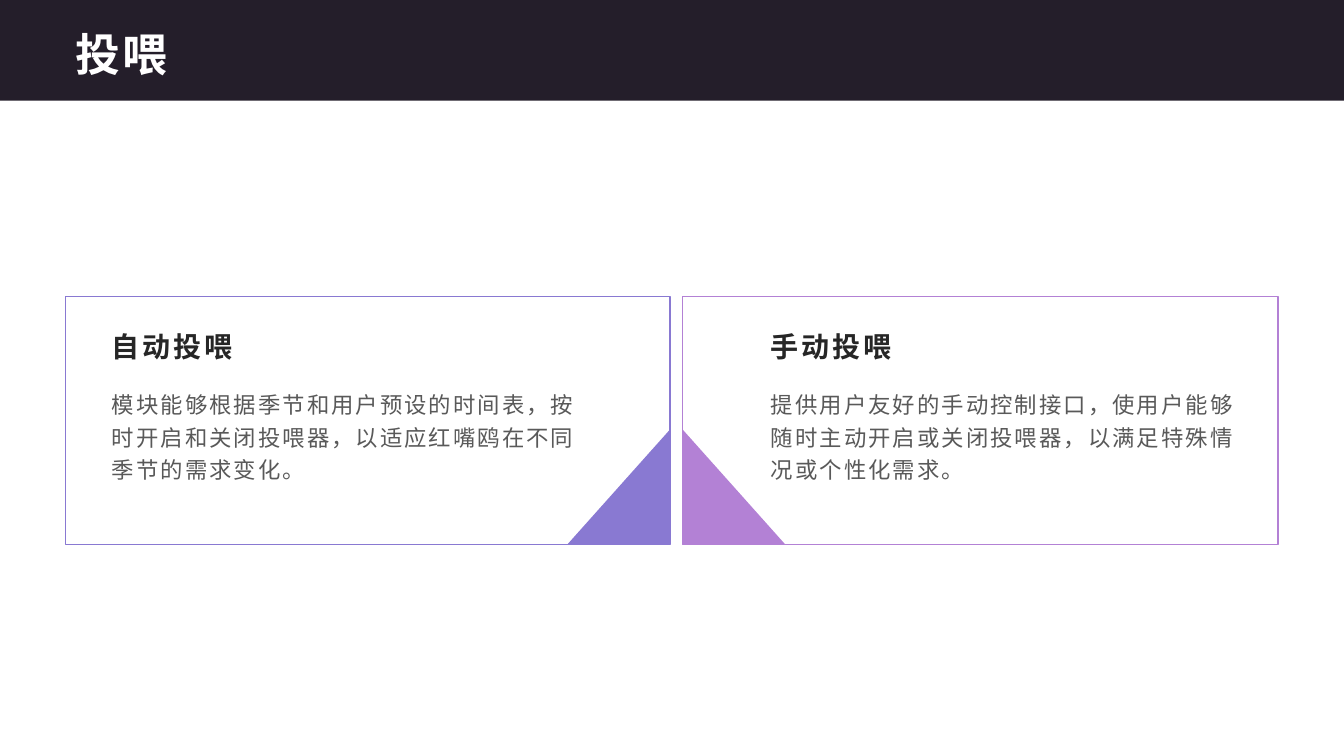
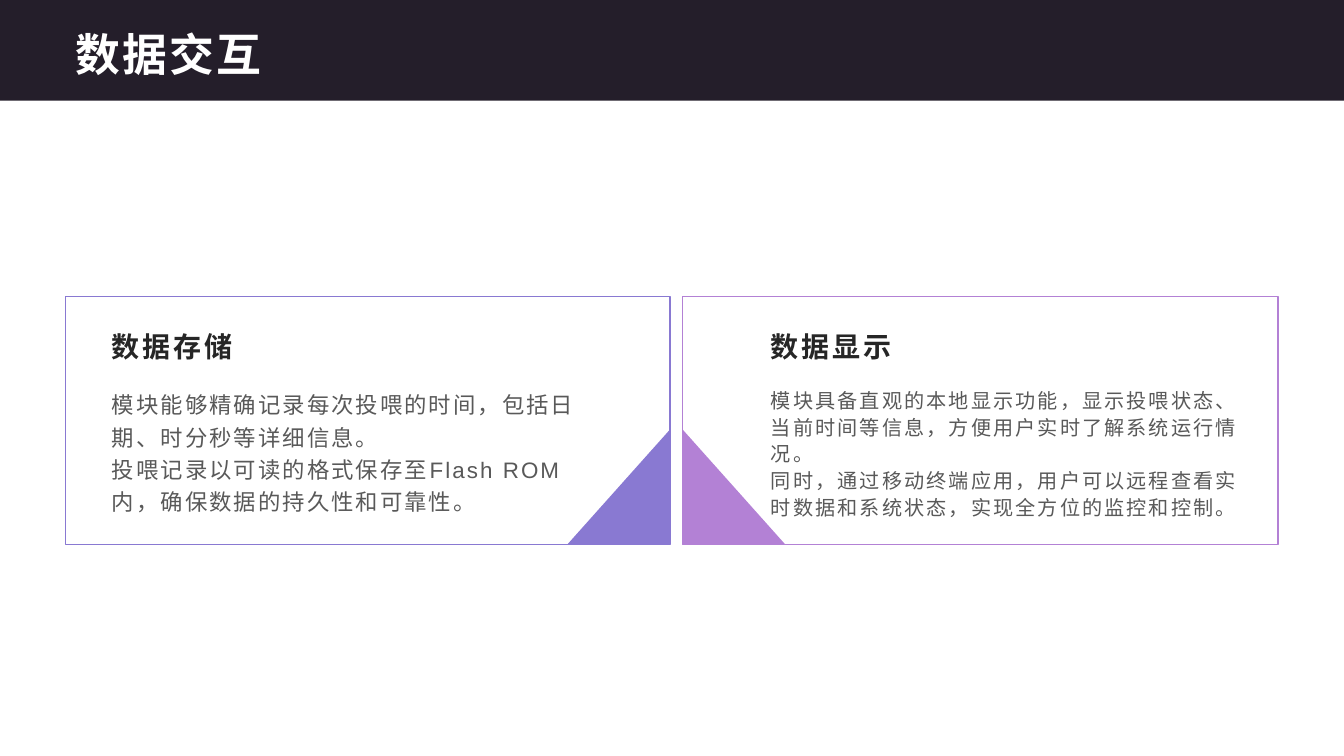
import pptx
import pptx.dml.color
import pptx.enum.shapes
import pptx.enum.text
import pptx.util

Cm = pptx.util.Cm
Pt = pptx.util.Pt
SHAPE = pptx.enum.shapes.MSO_SHAPE
ANCHOR = pptx.enum.text.MSO_ANCHOR

# Shared look
FONT = "Arial"
BAND, WHITE, HEADING, BODY = "241E2A", "FFFFFF", "262626", "595959"
SLIDE_W, SLIDE_H, BAND_H = 33.87, 19.05, 2.54

# Card geometry in cm
CARD_TOP, CARD_H = 7.47, 6.25
CORNER_W, CORNER_H = 2.59, 2.9
TEXT_W = 12.4

# One entry per card position: left, width, text left, colour, corner on the right
CARDS = [
    (1.65, 15.24, 2.57, "8979D2", True),
    (17.2, 15.01, 19.18, "B381D5", False),
]

# Per slide: title and, for each card, heading, paragraphs, size, line spacing
SLIDES = [
    ("投喂", [
        ("自动投喂",
         ["模块能够根据季节和用户预设的时间表，按时开启和关闭投喂器，以适应红嘴鸥在不同季节的需求变化。"],
         16, 1.2),
        ("手动投喂",
         ["提供用户友好的手动控制接口，使用户能够随时主动开启或关闭投喂器，以满足特殊情况或个性化需求。"],
         16, 1.2),
    ]),
    ("数据交互", [
        ("数据存储",
         ["模块能够精确记录每次投喂的时间，包括日期、时分秒等详细信息。",
          "投喂记录以可读的格式保存至Flash ROM内，确保数据的持久性和可靠性。"],
         16, 1.2),
        ("数据显示",
         ["模块具备直观的本地显示功能，显示投喂状态、当前时间等信息，方便用户实时了解系统运行情况。",
          "同时，通过移动终端应用，用户可以远程查看实时数据和系统状态，实现全方位的监控和控制。"],
         14.4, 1.1),
    ]),
]


def rgb(value):
    return pptx.dml.color.RGBColor.from_string(value)


def add_shape(s, kind, box, fill=None, line=None):
    sp = s.shapes.add_shape(kind, *map(Cm, box))
    sp.shadow.inherit = False
    if fill:
        sp.fill.solid()
        sp.fill.fore_color.rgb = rgb(fill)
    else:
        sp.fill.background()
    if line:
        sp.line.color.rgb = rgb(line)
        sp.line.width = Pt(1)
    else:
        sp.line.fill.background()
    return sp


def add_text(s, box, texts, size, color, bold=False, tracking=1.5,
             spacing=None, anchor=ANCHOR.TOP, inset=(0.25, 0.13)):
    tf = s.shapes.add_textbox(*map(Cm, box)).text_frame
    tf.word_wrap = True
    tf.vertical_anchor = anchor
    tf.margin_left = tf.margin_right = Cm(inset[0])
    tf.margin_top = tf.margin_bottom = Cm(inset[1])
    for i, text in enumerate(texts):
        p = tf.add_paragraph() if i else tf.paragraphs[0]
        if spacing:
            p.line_spacing = spacing
        r = p.add_run()
        r.text = text
        r.font.name = FONT
        r.font.size = Pt(size)
        r.font.bold = bold
        r.font.color.rgb = rgb(color)
        # Letter spacing, in hundredths of a point
        r.font._element.set("spc", str(int(tracking * 100)))


def add_title(s, title):
    add_shape(s, SHAPE.RECTANGLE, (0, 0, SLIDE_W, BAND_H), fill=BAND)
    add_text(s, (1.7, 0.43, 30.48, 1.7), [title], 32, WHITE, bold=True,
             anchor=ANCHOR.BOTTOM, inset=(0.2, 0.1))


def add_card(s, place, content):
    left, width, text_left, color, corner_right = place
    heading, texts, size, spacing = content
    # Frame
    add_shape(s, SHAPE.RECTANGLE, (left, CARD_TOP, width, CARD_H), line=color)
    # Heading and body
    add_text(s, (text_left, CARD_TOP + 0.5, TEXT_W, 1.32), [heading], 20,
             HEADING, bold=True, tracking=2, spacing=1.2, anchor=ANCHOR.BOTTOM)
    add_text(s, (text_left, CARD_TOP + 2.13, TEXT_W, 3.61), texts, size, BODY,
             spacing=spacing)
    # Corner triangle on the inner side
    corner_left = left + width - CORNER_W if corner_right else left
    corner_top = CARD_TOP + CARD_H - CORNER_H
    sp = add_shape(s, SHAPE.RIGHT_TRIANGLE,
                   (corner_left, corner_top, CORNER_W, CORNER_H), fill=color)
    if corner_right:
        sp._element.spPr.xfrm.set("flipH", "1")


def main():
    prs = pptx.Presentation()
    prs.slide_width, prs.slide_height = Cm(SLIDE_W), Cm(SLIDE_H)
    for title, contents in SLIDES:
        s = prs.slides.add_slide(prs.slide_layouts[6])
        add_title(s, title)
        for place, content in zip(CARDS, contents):
            add_card(s, place, content)
    prs.save("out.pptx")


if __name__ == "__main__":
    main()
